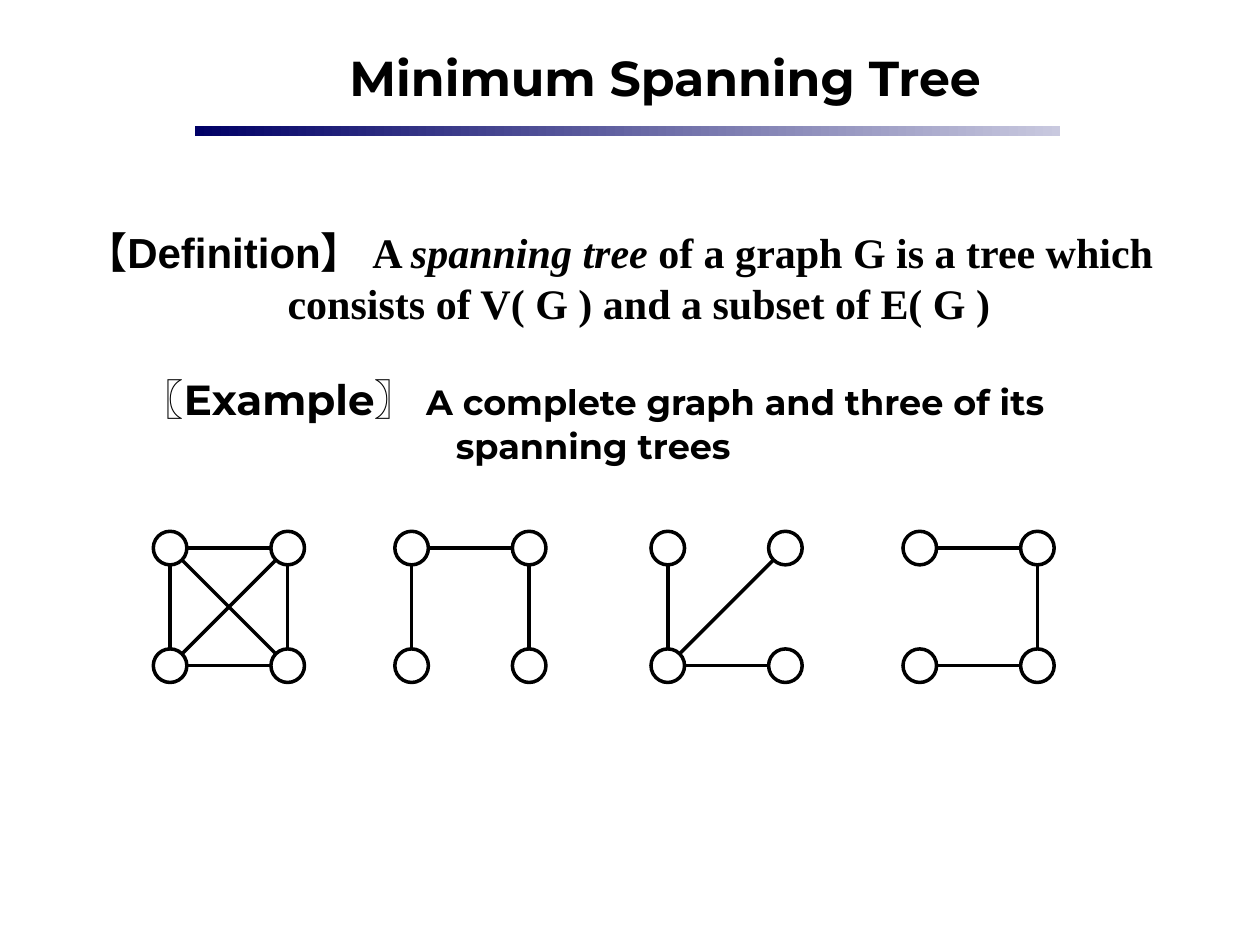
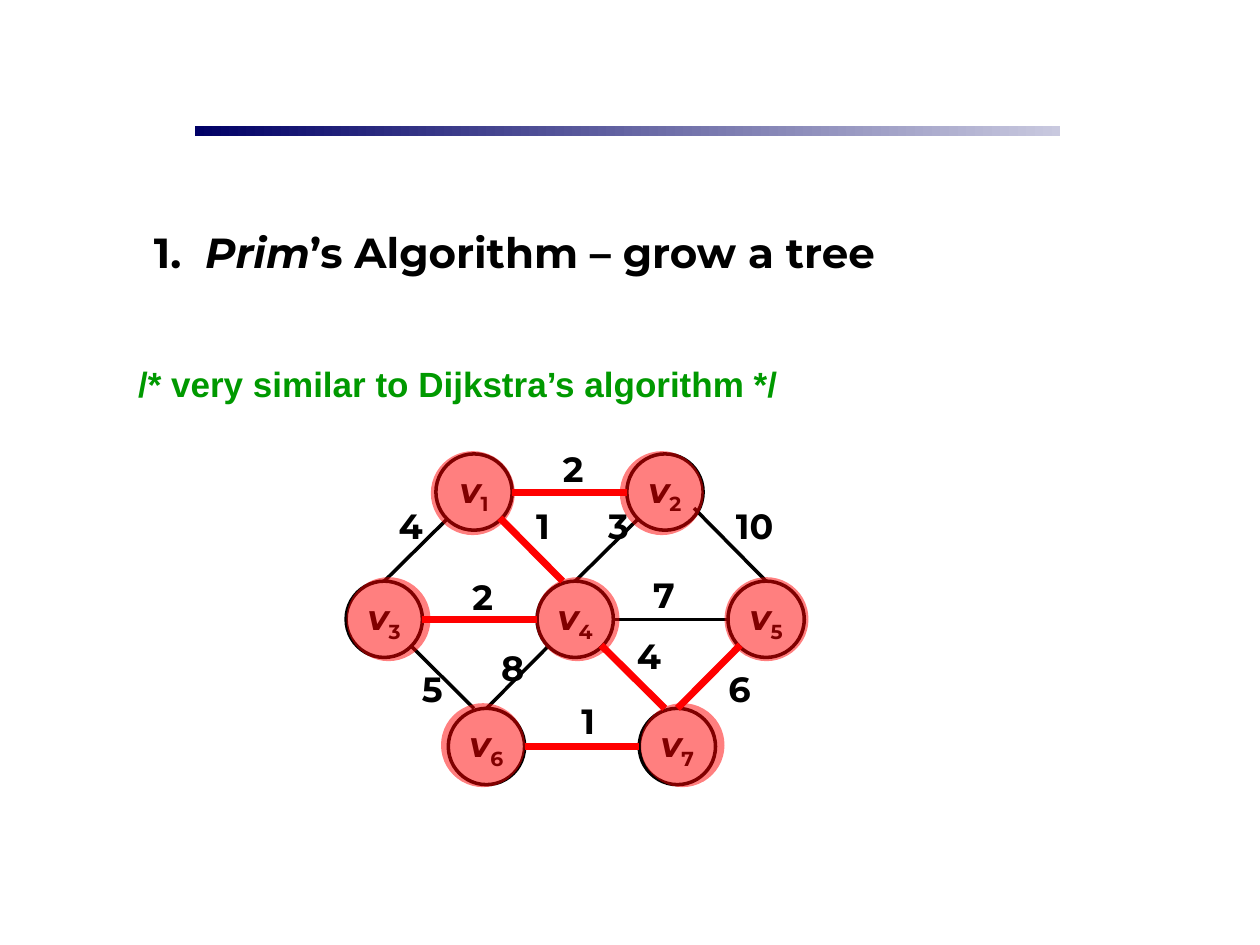
from lxml import etree
from pptx import Presentation
from pptx import util as u
from pptx.dml.color import RGBColor
from pptx.enum import shapes, text
from pptx.oxml.ns import qn

Pt = u.Pt

COLORS = {
    "ink": "000000",
    "paper": "FFFFFF",
    "band_start": "000066",
    "band_end": "C9C9DF",
    "remark": "009900",
    "tree": "FF0000",
}
SANS, SERIF, PLAIN = "Montserrat", "Times New Roman", "Arial"


def rgb(name):
    return RGBColor.from_string(COLORS[name])


def write(paragraph, words, size=20, font=SANS, color="ink", italic=False, baseline=None):
    """Append one bold run to a paragraph."""
    run = paragraph.add_run()
    run.text = words
    run.font.size, run.font.name = Pt(size), font
    run.font.bold, run.font.italic = True, italic
    run.font.color.rgb = rgb(color)
    if baseline is not None:
        run.font._element.set("baseline", str(baseline * 1000))


class Deck:
    """Holds the shared style and the slide being drawn."""

    TITLE_ONLY = 5
    LINE, TREE_LINE = 2, 4

    def __init__(self):
        self.file = Presentation()
        self.file.slide_width, self.file.slide_height = Pt(720), Pt(540)
        self.slide = None

    def new_slide(self, title_box, *title_runs):
        layout = self.file.slide_layouts[self.TITLE_ONLY]
        self.slide = self.file.slides.add_slide(layout)
        self.band()
        title = self.slide.shapes.title
        title.left, title.top, title.width, title.height = map(Pt, title_box)
        self.fill_frame(title.text_frame, title_runs)

    def band(self):
        bar = self.slide.shapes.add_shape(
            shapes.MSO_SHAPE.RECTANGLE, Pt(111.5), Pt(72), Pt(494.5), Pt(5.8))
        bar.shadow.inherit = False
        bar.line.fill.background()
        bar.fill.gradient()
        bar.fill.gradient_angle = 0
        for stop, name in zip(bar.fill.gradient_stops, ("band_start", "band_end")):
            stop.color.rgb = rgb(name)

    def fill_frame(self, frame, runs, wrap=True, anchor=text.MSO_ANCHOR.TOP):
        """Centre the given (words, format) runs in a text frame."""
        frame.auto_size = text.MSO_AUTO_SIZE.NONE
        frame.word_wrap = wrap
        frame.vertical_anchor = anchor
        paragraph = frame.paragraphs[0]
        paragraph.alignment = text.PP_ALIGN.CENTER
        for words, style in runs:
            write(paragraph, words, **style)
        return paragraph

    def textbox(self, box, *runs, wrap=True):
        frame = self.slide.shapes.add_textbox(*map(Pt, box)).text_frame
        return self.fill_frame(frame, runs, wrap)

    def line(self, start, end, color="ink", width=LINE):
        link = self.slide.shapes.add_connector(
            shapes.MSO_CONNECTOR.STRAIGHT, *map(Pt, (*start, *end)))
        link.line.color.rgb = rgb(color)
        link.line.width = Pt(width)
        etree.SubElement(link._element.spPr, qn("a:effectLst"))

    def circle(self, center, diameter, fill=None, alpha=None, outline=True, runs=()):
        x, y = (value - diameter / 2 for value in center)
        disc = self.slide.shapes.add_shape(
            shapes.MSO_SHAPE.OVAL, *map(Pt, (x, y, diameter, diameter)))
        disc.shadow.inherit = False
        if fill:
            disc.fill.solid()
            disc.fill.fore_color.rgb = rgb(fill)
        else:
            disc.fill.background()
        if alpha:
            tint = disc._element.spPr.find(".//" + qn("a:srgbClr"))
            etree.SubElement(tint, qn("a:alpha"), val=str(alpha * 1000))
        if outline:
            disc.line.color.rgb = rgb("ink")
            disc.line.width = Pt(self.LINE)
        else:
            disc.line.fill.background()
        if runs:
            self.fill_frame(disc.text_frame, runs, False, text.MSO_ANCHOR.MIDDLE)


# Slide 1: a complete graph and its spanning trees; corners are (column, row)
CORNERS = {"a": (0, 0), "b": (1, 0), "c": (0, 1), "d": (1, 1)}
SMALL_GRAPHS = [  # left column of vertices, edges
    (97.2, "ac cd da ab bc bd"),
    (235.2, "ac ab bd"),
    (381.6, "ac cd bc"),
    (525.6, "cd ab bd"),
]
SMALL_TOP, SMALL_SIDE, SMALL_VERTEX = 313.2, 67.2, 19.2


def spanning_tree_slide(deck):
    deck.new_slide((106.5, 23.8, 547.2, 41), ("Minimum Spanning Tree", {"size": 28}))

    serif = {"size": 24, "font": SERIF}
    definition = deck.textbox(
        (36, 126, 635.8, 65),
        ("【Definition】 ", {"size": 24, "font": PLAIN}),
        ("A ", serif),
        ("spanning tree", {**serif, "italic": True}),
        (" of a graph G is a tree which consists of V( G ) and a subset of E( G )", serif))
    indent = definition._p.get_or_add_pPr()
    indent.set("marL", str(Pt(22.5)))
    indent.set("indent", str(Pt(-22.5)))

    deck.textbox(
        (42, 210, 594, 60.5),
        ("〖Example〗 ", {"size": 24}),
        ("A complete graph and three of its spanning trees", {}))

    for left, edges in SMALL_GRAPHS:
        place = {name: (left + column * SMALL_SIDE, SMALL_TOP + row * SMALL_SIDE)
                 for name, (column, row) in CORNERS.items()}
        for start, end in edges.split():
            deck.line(place[start], place[end])
        for vertex in place.values():
            deck.circle(vertex, SMALL_VERTEX, fill="paper")


# Slide 2: weighted graph with the tree grown by Prim's algorithm
VERTEX, HALO = 43.6, 48
VERTEX_STEP, ROW_STEP = 109.1, 72.7
ROWS = [(270.9, (1, 2)), (219.6, (3, 4, 5)), (278, (6, 7))]  # first centre, vertices
VERTICES = {number: (first + VERTEX_STEP * column, 281.2 + ROW_STEP * row)
            for row, (first, numbers) in enumerate(ROWS)
            for column, number in enumerate(numbers)}
HALO_X = {1: 270.2, 2: 378.2, 3: 222, 4: 330, 5: 438, 6: 276, 7: 390}
HALO_TOP_ROW, HALO_ROW_STEP = 281.8, 72

EDGES = {  # ends: (weight, label centre x, label top)
    (1, 2): (2, 327.6, 252),
    (1, 3): (4, 234.7, 285),
    (3, 4): (2, 275.8, 325.4),
    (1, 4): (1, 310.3, 285),
    (2, 4): (3, 353.5, 285),
    (2, 5): (10, 431.3, 285),
    (4, 5): (7, 379.4, 324),
    (3, 6): (5, 247, 378),
    (4, 6): (8, 293, 365.8),
    (4, 7): (4, 370.8, 359.3),
    (5, 7): (6, 422.6, 378),
    (6, 7): (1, 336.2, 396),
}
LEAVE, LAND_SHIFT = 14.8, 7.2
SHALLOW_LEAVE = {(2, 5): (16.6, 9.2)}  # starts inside its vertex, lands on centre
PRIM_STEPS = [(None, 1), ((1, 4), 4), ((1, 2), 2), ((3, 4), 3),
              ((4, 7), 7), ((6, 7), 6), ((5, 7), 5)]  # edge taken, vertex reached


def edge_ends(edge):
    """Level edges join the sides; slanted ones run from the diagonal to the top."""
    (x1, y1), (x2, y2) = (VERTICES[number] for number in edge)
    radius = VERTEX / 2
    if y1 == y2:
        return (x1 + radius, y1), (x2 - radius, y2)
    rightward = x2 > x1
    across, down = SHALLOW_LEAVE.get(edge, (LEAVE if rightward else -LEAVE, LEAVE))
    shift = LAND_SHIFT if rightward and edge not in SHALLOW_LEAVE else 0
    return (x1 + across, y1 + down), (x2 - shift, y2 - radius)


def prim_slide(deck):
    heading = {"size": 24}
    deck.new_slide(
        (30, 126, 528, 36),
        ("1.  ", heading),
        ("Prim", {**heading, "italic": True}),
        ("’s Algorithm – grow a tree", heading))
    deck.textbox(
        (71.3, 203.8, 380.9, 31.7),
        ("/* very similar to Dijkstra’s algorithm */", {"font": PLAIN, "color": "remark"}),
        wrap=False)

    # Graph
    for number, center in VERTICES.items():
        deck.circle(center, VERTEX, runs=[
            ("v", {"italic": True}), (str(number), {"baseline": -25})])
    for edge in EDGES:
        deck.line(*edge_ends(edge))
    for weight, x, top in EDGES.values():
        deck.textbox((x - 26, top, 52, 31.7), (str(weight), {}))

    # Tree, in the order it grows
    halo_y = {number: HALO_TOP_ROW + HALO_ROW_STEP * row
              for row, (_, numbers) in enumerate(ROWS) for number in numbers}
    for edge, reached in PRIM_STEPS:
        if edge:
            deck.line(*edge_ends(edge), color="tree", width=deck.TREE_LINE)
        deck.circle((HALO_X[reached], halo_y[reached]), HALO,
                    fill="tree", alpha=50, outline=False)


def main():
    deck = Deck()
    spanning_tree_slide(deck)
    prim_slide(deck)
    deck.file.save("out.pptx")


if __name__ == "__main__":
    main()
